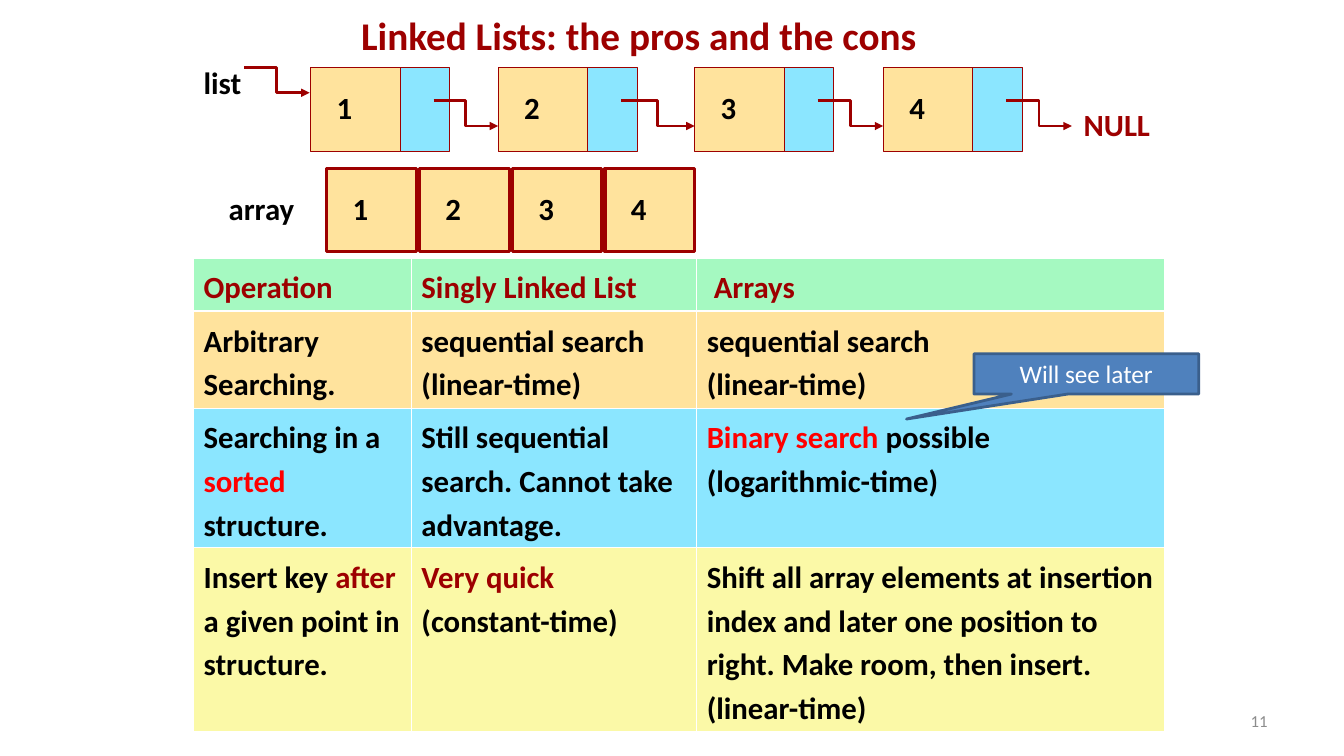
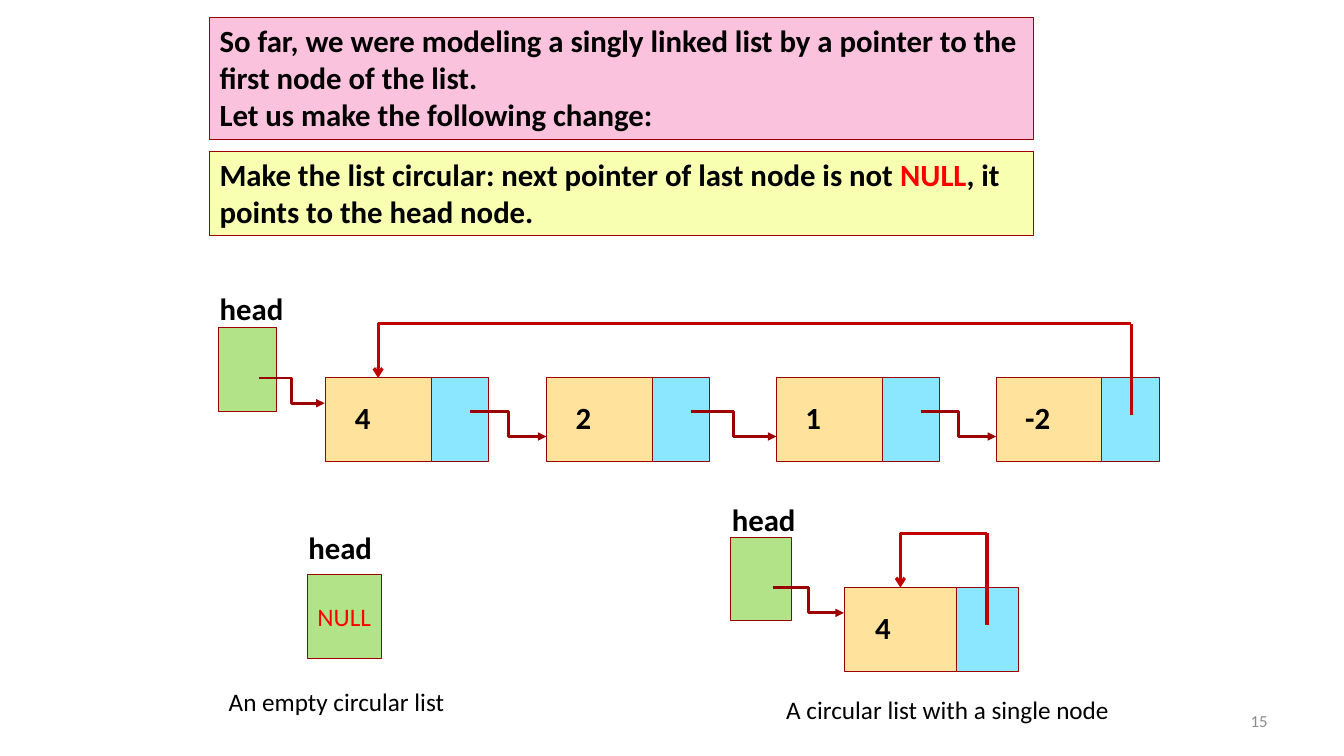
from lxml import etree
from pptx import Presentation
from pptx.dml.color import RGBColor
from pptx.enum.shapes import MSO_CONNECTOR, MSO_SHAPE
from pptx.enum.text import MSO_ANCHOR, MSO_AUTO_SIZE, PP_ALIGN
from pptx.oxml.ns import qn
from pptx.util import Pt

RECT, CALLOUT = MSO_SHAPE.RECTANGLE, MSO_SHAPE.RECTANGULAR_CALLOUT
ELBOW, STRAIGHT = MSO_CONNECTOR.ELBOW, MSO_CONNECTOR.STRAIGHT
LEFT, CENTER, RIGHT = PP_ALIGN.LEFT, PP_ALIGN.CENTER, PP_ALIGN.RIGHT
TOP, MIDDLE = MSO_ANCHOR.TOP, MSO_ANCHOR.MIDDLE
GROW = MSO_AUTO_SIZE.SHAPE_TO_FIT_TEXT

FONT = "Calibri"
EMU_PER_PX = 9144  # 100 px to the inch
C = {
    "black": "000000", "white": "FFFFFF", "gray": "8C8C8C",
    "maroon": "9D0000", "red": "FF0000", "crimson": "C00000",
    "data": "FFE39D", "link": "8BE6FF", "head": "B2E389",
    "mint": "A5F9C1", "cream": "FBF9A7", "pink": "FAC2DD", "lemon": "F8FFB1",
    "callout": "4F81BD", "callout_edge": "3A5F8C",
}
NODE_H = 83


def px(n):
    return int(n * EMU_PER_PX)


def rgb(name):
    return RGBColor.from_string(C[name])


# Text: each paragraph is a string or a list of (text, colour) runs
def write(tf, paras, size=22, color="black", bold=True, align=LEFT, spacing=None):
    for i, para in enumerate(paras):
        p = tf.paragraphs[0] if i == 0 else tf.add_paragraph()
        runs = [(para, color)] if isinstance(para, str) else para
        p.text = runs[0][0]
        for text, _ in runs[1:]:
            p.add_run().text = text
        p.alignment = align
        if spacing:
            p.line_spacing = spacing
        for r, (_, run_color) in zip(p.runs, runs):
            r.font.name, r.font.size, r.font.bold = FONT, Pt(size), bold
            r.font.color.rgb = rgb(run_color)


def text_box(s, x, y, w, h, text, wrap=True, anchor=MIDDLE, **style):
    tf = s.shapes.add_textbox(px(x), px(y), px(w), px(h)).text_frame
    tf.word_wrap, tf.vertical_anchor = wrap, anchor
    if not wrap:
        tf.auto_size = GROW
    write(tf, [text], **style)


def label(s, x, y, w, text, h=47, **style):
    text_box(s, x, y, w, h, text, wrap=False, anchor=TOP, **style)


def box(s, x, y, w, h, fill, line="maroon", weight=0.75, kind=RECT):
    sp = s.shapes.add_shape(kind, px(x), px(y), px(w), px(h))
    sp.shadow.inherit = False
    sp.fill.solid()
    sp.fill.fore_color.rgb = rgb(fill)
    sp.line.color.rgb = rgb(line)
    sp.line.width = Pt(weight)
    return sp


# Connectors
def connector(s, kind, x1, y1, x2, y2, color="maroon", weight=2, tail=None):
    cx = s.shapes.add_connector(kind, px(x1), px(y1), px(x2), px(y2))
    cx.line.color.rgb = rgb(color)
    cx.line.width = Pt(weight)
    if tail:
        ln = cx.line._get_or_add_ln()
        etree.SubElement(ln, qn("a:tailEnd"), type=tail)
    etree.SubElement(cx._element.spPr, qn("a:effectLst"))
    return cx


def pointer(s, x1, y, x2):
    connector(s, ELBOW, x1, y, x2, y + 25, tail="triangle")


def return_link(s, x1, x2, node_y):
    """Line from the last link field up, back and down onto the first node."""
    top = node_y - 54
    cx = connector(s, ELBOW, x2, node_y, x1, top, "crimson", 2.25, "arrow")
    cx._element.spPr.find(qn("a:prstGeom")).set("prst", "bentConnector2")
    # Half a turn, so that the path leaves from the right
    cx._element.spPr.find(qn("a:xfrm")).set("rot", "10800000")
    connector(s, STRAIGHT, x1, node_y + 37, x1, top, "crimson", 2.25)


# List and array parts
def data_cell(s, x, y, w, value, weight=0.75):
    box(s, x, y, w, NODE_H, "data", weight=weight)
    label(s, x + round(w * 0.18), y + 16, 35 if len(value) == 1 else 45, value)


def node(s, x, y, value, data_w, link_w, next_x=None):
    data_cell(s, x, y, data_w, value)
    box(s, x + data_w, y, link_w, NODE_H, "link")
    if next_x:
        pointer(s, x + data_w + round(link_w * 2 / 3), y + 33, next_x)


def chain(s, xs, y, values, data_w, link_w, end_x=None):
    for x, value, next_x in zip(xs, values, xs[1:] + [end_x]):
        node(s, x, y, value, data_w, link_w, next_x)


def head(s, x, y, w, label_dy, node_x=None):
    label(s, x - 9, y - label_dy, 84, "head")
    sp = box(s, x, y, w, NODE_H, "head")
    if node_x:
        pointer(s, x + round(w * 0.7), y + 50, node_x)
    return sp


def note(s, y, h, fill, paras):
    tf = box(s, 208, y, 817, h, fill).text_frame
    tf.word_wrap, tf.vertical_anchor = True, TOP
    tf.auto_size = GROW
    write(tf, paras)


# Table
def borders(cell, top, bottom):
    tc_pr = cell._tc.get_or_add_tcPr()
    for side, weight in (("L", 0.45), ("R", 0.45), ("T", top), ("B", bottom)):
        ln = etree.SubElement(tc_pr, qn("a:ln" + side), w=str(Pt(weight)))
        fill = etree.SubElement(ln, qn("a:solidFill"))
        etree.SubElement(fill, qn("a:srgbClr"), val=C["white"])


def comparison_table(s, x, y, widths, rows):
    """rows: (height, fill, text colour, cells), each cell a list of paragraphs."""
    frame = s.shapes.add_table(len(rows), len(widths), px(x), px(y),
                               px(sum(widths)), px(sum(r[0] for r in rows)))
    table = frame.table
    for col, w in zip(table.columns, widths):
        col.width = px(w)
    for i, (height, fill, color, cells) in enumerate(rows):
        table.rows[i].height = px(height)
        for j, paras in enumerate(cells):
            cell = table.cell(i, j)
            borders(cell, 1.47 if i == 1 else 0.45, 1.47 if i == 0 else 0.45)
            cell.fill.solid()
            cell.fill.fore_color.rgb = rgb(fill)
            write(cell.text_frame, paras, color=color, spacing=1.17)
    return table


# Slides
def new_slide(prs, number):
    s = prs.slides.add_slide(prs.slide_layouts[6])
    text_box(s, 956, 695, 311, 40, number, size=12, color="gray",
             bold=False, align=RIGHT)
    return s


def pros_and_cons(prs):
    s = new_slide(prs, "11")
    text_box(s, 217, 0, 833, 70, "Linked Lists: the pros and the cons",
             size=28, color="maroon", align=CENTER)

    # Linked list
    chain(s, [308, 494, 689, 876], 67, "1234", 89, 49, end_x=1063)
    label(s, 1065, 100, 86, "NULL", color="maroon")
    label(s, 192, 58, 58, "list")
    pointer(s, 242, 67, 307)

    # Array
    label(s, 217, 183, 86, "array")
    for i, value in enumerate("1234"):
        data_cell(s, 324 + 92 * i, 167, 89, value, weight=2.25)

    # Comparison
    table = comparison_table(s, 192, 256, [216, 283, 464], [
        (46, "mint", "maroon",
         [["Operation"], ["Singly Linked List"], ["Arrays"]]),
        (90, "data", "black",
         [["Arbitrary", "Searching."],
          ["sequential search (linear-time)"],
          ["sequential search", "(linear-time)"]]),
        (125, "link", "black",
         [[[("Searching in a ", "black"), ("sorted", "red"),
            (" structure.", "black")]],
          ["Still sequential search. Cannot take advantage."],
          [[("Binary search ", "red"),
            ("possible (logarithmic-time)", "black")]]]),
        (182, "cream", "black",
         [[[("Insert key ", "black"), ("after", "maroon"),
            (" a given point in structure.", "black")]],
          [[("Very quick ", "maroon"), ("(constant-time)", "black")]],
          ["Shift all array elements at insertion index and later one "
           "position to right. Make room, then insert. (linear-time)"]]),
    ])
    table.cell(0, 2).margin_left = px(17)

    # Callout
    sp = box(s, 966, 351, 223, 40, "callout", "callout_edge", 2, CALLOUT)
    sp.adjustments[0], sp.adjustments[1] = -0.8, 1.12
    sp.text_frame.vertical_anchor = MIDDLE
    write(sp.text_frame, ["Will see later"], size=18, color="white",
          bold=False, align=CENTER)


def circular_list(prs):
    s = new_slide(prs, "15")
    note(s, 17, 121, "pink", [
        "So far, we were modeling a singly linked list by a pointer to the "
        "first node of the list.",
        "Let us make the following change:"])
    note(s, 150, 84, "lemon", [[
        ("Make the list circular: next pointer of last node is not ", "black"),
        ("NULL", "red"), (", it points to the head node.", "black")]])

    # Four nodes
    chain(s, [323, 542, 770, 988], 375, ["4", "2", "1", "-2"], 105, 57)
    head(s, 217, 325, 57, 42, node_x=322)
    return_link(s, 1122, 375, 375)

    # Single node
    node(s, 838, 583, "4", 111, 61)
    head(s, 725, 533, 60, 41, node_x=837)
    return_link(s, 979, 893, 583)
    label(s, 770, 684, 344, "A circular list with a single node", h=40,
          size=18, bold=False)

    # Empty list
    tf = head(s, 305, 570, 73, 50).text_frame
    tf.word_wrap, tf.vertical_anchor = False, MIDDLE
    write(tf, ["NULL"], size=18, color="red", bold=False)
    label(s, 217, 676, 236, "An empty circular list", h=40, size=18, bold=False)


def main():
    prs = Presentation()
    prs.slide_width, prs.slide_height = px(1333), px(750)
    pros_and_cons(prs)
    circular_list(prs)
    prs.save("out.pptx")


if __name__ == "__main__":
    main()
